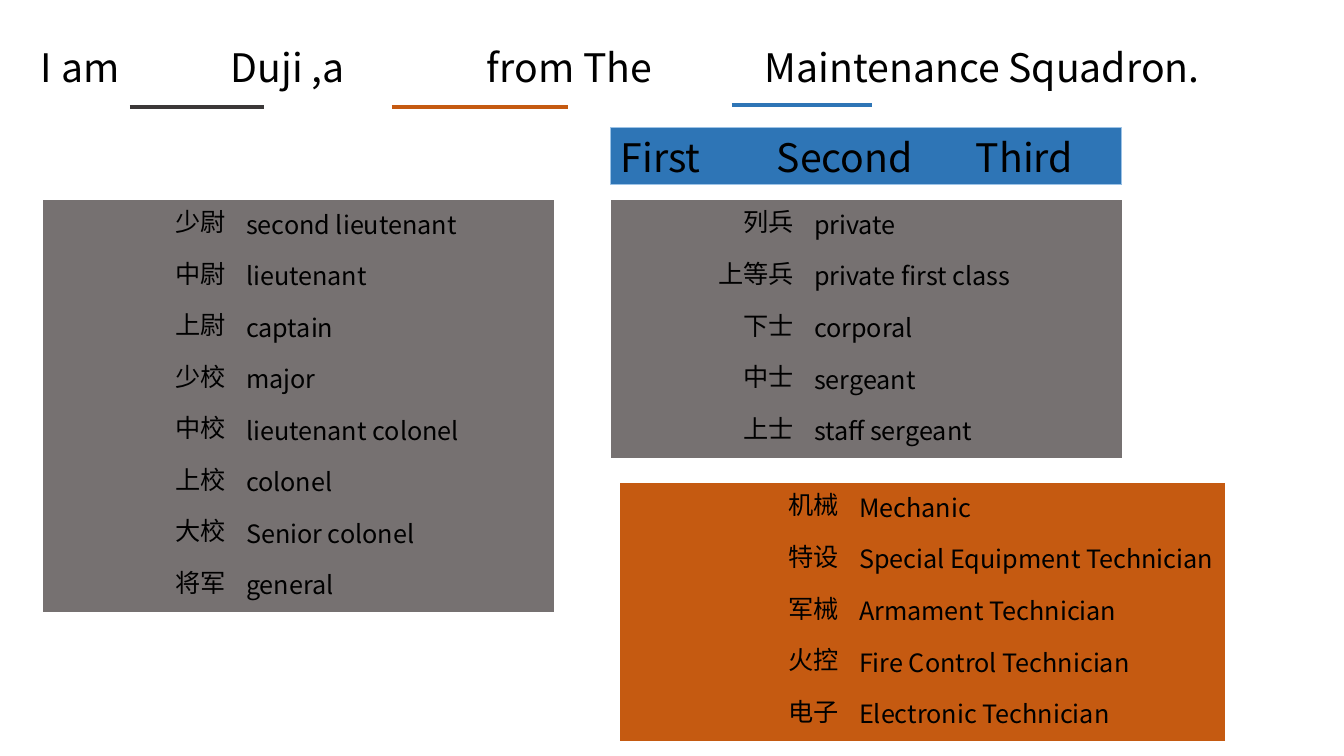
from lxml.etree import SubElement
from pptx import Presentation
from pptx.dml.color import RGBColor
from pptx.enum.shapes import MSO_CONNECTOR, MSO_SHAPE
from pptx.enum.text import MSO_ANCHOR, PP_ALIGN
from pptx.oxml.ns import qn
from pptx.util import Emu, Pt

PX = 914400 / 100.8
BLACK = RGBColor(0x00, 0x00, 0x00)
GREY = RGBColor(0x76, 0x71, 0x71)
CHARCOAL = RGBColor(0x3B, 0x38, 0x38)
ORANGE = RGBColor(0xC5, 0x5A, 0x11)
BLUE = RGBColor(0x2E, 0x75, 0xB6)
PALE_BLUE = RGBColor(0x9D, 0xC3, 0xE6)
ENGLISH_FONT = "Noto Sans CJK TC"
CHINESE_FONT = "Open Sans"
NO_GRID_STYLE = "{2D5ABB26-0587-4C30-8999-92F81FD0307C}"

OFFICERS = [
    ("少尉", "second lieutenant"), ("中尉", "lieutenant"),
    ("上尉", "captain"), ("少校", "major"),
    ("中校", "lieutenant colonel"), ("上校", "colonel"),
    ("大校", "Senior colonel"), ("将军", "general"),
]
SPECIALTIES = [
    ("机械", "Mechanic"), ("特设", "Special Equipment Technician"),
    ("军械", "Armament Technician"), ("火控", "Fire Control Technician"),
    ("电子", "Electronic Technician"),
]
SOLDIERS = [
    ("列兵", "private"), ("上等兵", "private first class"),
    ("下士", "corporal"), ("中士", "sergeant"), ("上士", "staff sergeant"),
]


def px(*lengths):
    return [Emu(round(length * PX)) for length in lengths]


def add_words(paragraph, words, size, font=ENGLISH_FONT):
    run = paragraph.add_run()
    run.text = words
    run.font.size = Pt(size)
    run.font.name = font
    run.font.color.rgb = BLACK
    SubElement(run.font._element, qn("a:ea"), typeface=font)


def fill_one_line(frame, pieces, stops):
    """Write the pieces on one line, each later one at its own tab stop."""
    frame.word_wrap = True
    frame.vertical_anchor = MSO_ANCHOR.MIDDLE
    frame.margin_top = frame.margin_bottom = 0
    paragraph = frame.paragraphs[0]
    paragraph.alignment = PP_ALIGN.LEFT
    tabs = SubElement(paragraph._p.get_or_add_pPr(), qn("a:tabLst"))
    for stop in px(*stops):
        SubElement(tabs, qn("a:tab"), pos=str(stop), algn="l")
    add_words(paragraph, "\t".join(pieces), 28)


def add_glossary(slide, box, chinese_width, terms, color):
    left, top, width, height = box
    frame = slide.shapes.add_table(len(terms), 2, *px(*box))
    glossary = frame.table
    glossary.first_row = glossary.horz_banding = False
    glossary._tbl.tblPr.find(qn("a:tableStyleId")).text = NO_GRID_STYLE
    column_widths = px(chinese_width, width - chinese_width)
    for column, column_width in zip(glossary.columns, column_widths):
        column.width = column_width
    for row, term in zip(glossary.rows, terms):
        row.height = px(height / len(terms))[0]
        looks = [(CHINESE_FONT, PP_ALIGN.RIGHT), (ENGLISH_FONT, PP_ALIGN.LEFT)]
        for cell, words, (font, align) in zip(row.cells, term, looks):
            cell.fill.solid()
            cell.fill.fore_color.rgb = color
            paragraph = cell.text_frame.paragraphs[0]
            paragraph.alignment = align
            add_words(paragraph, words, 18, font)


def add_sentence(slide, box):
    left, top, width, height = box
    group = slide.shapes.add_group_shape()
    sentence = group.shapes.add_textbox(*px(*box))
    fill_one_line(
        sentence.text_frame,
        ["I am", "Duji ,a", "from The", "Maintenance Squadron."],
        [190, 446, 724],
    )
    # Blanks to fill in, coloured like their word lists
    blanks = [(99, 69, 134, CHARCOAL), (361, 69, 176, ORANGE),
              (701, 67, 140, BLUE)]
    for x, y, length, color in blanks:
        start, end, level = px(left + x, left + x + length, top + y)
        blank = group.shapes.add_connector(
            MSO_CONNECTOR.STRAIGHT, start, level, end, level)
        blank.line.color.rgb = color
        blank.line.width = Pt(2.5)
        SubElement(blank._element.spPr, qn("a:effectLst"))


def add_ordinals(slide, box):
    ordinals = slide.shapes.add_shape(MSO_SHAPE.RECTANGLE, *px(*box))
    ordinals.shadow.inherit = False
    ordinals.fill.solid()
    ordinals.fill.fore_color.rgb = BLUE
    ordinals.line.color.rgb = PALE_BLUE
    ordinals.line.width = Pt(0.75)
    fill_one_line(ordinals.text_frame, ["First", "Second", "Third"],
                  [156, 355])


deck = Presentation()
deck.slide_width, deck.slide_height = px(1344, 756)
slide = deck.slides.add_slide(deck.slide_layouts[6])

# Word lists
add_glossary(slide, (43, 200, 511, 412), 193, OFFICERS, GREY)
add_glossary(slide, (620, 483, 605, 258), 229, SPECIALTIES, ORANGE)
add_glossary(slide, (611, 200, 511, 258), 193, SOLDIERS, GREY)
# Sentence pattern and squadron numbers
add_sentence(slide, (31, 38, 1363, 57))
add_ordinals(slide, (611, 128, 511, 57))

deck.save("out.pptx")
